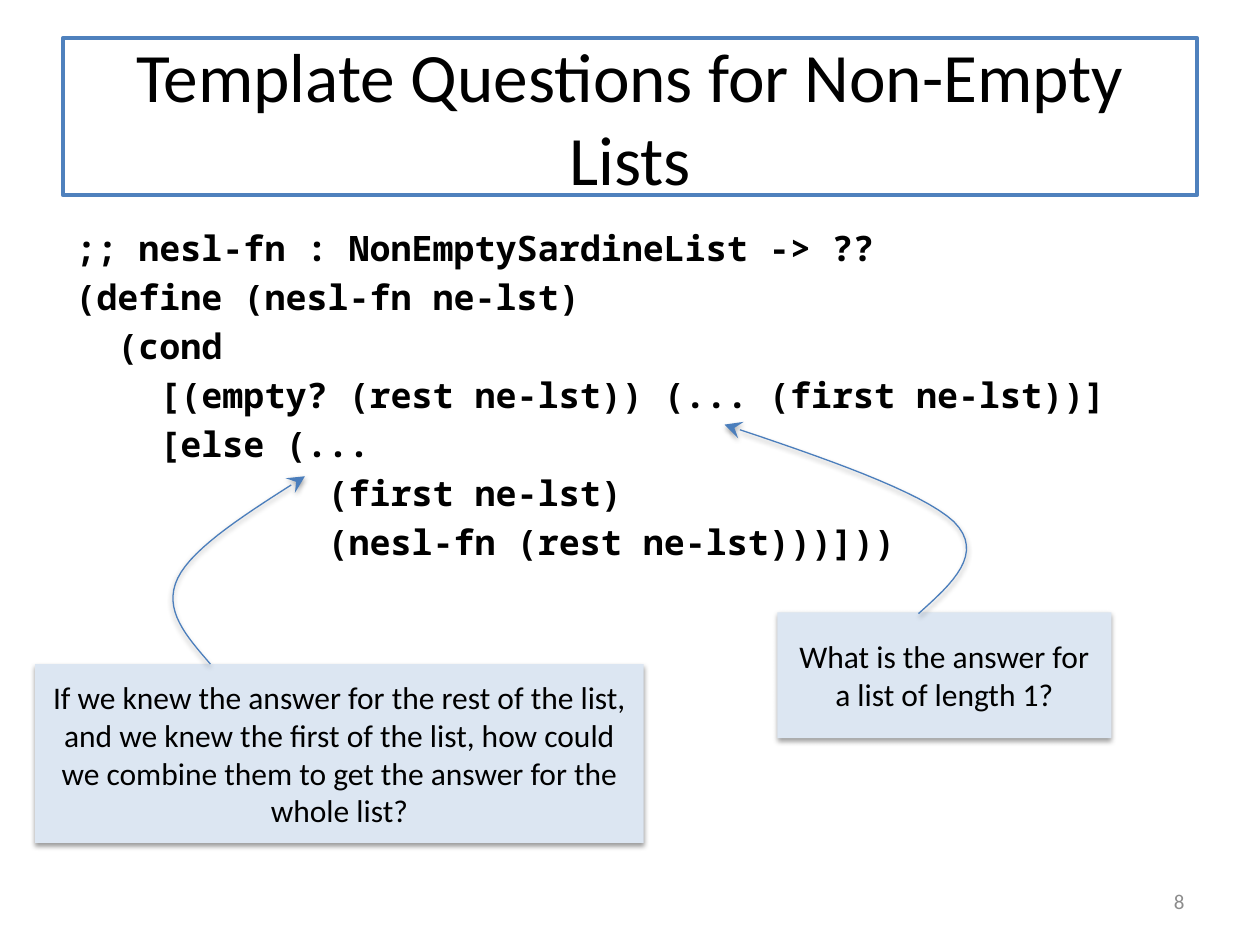
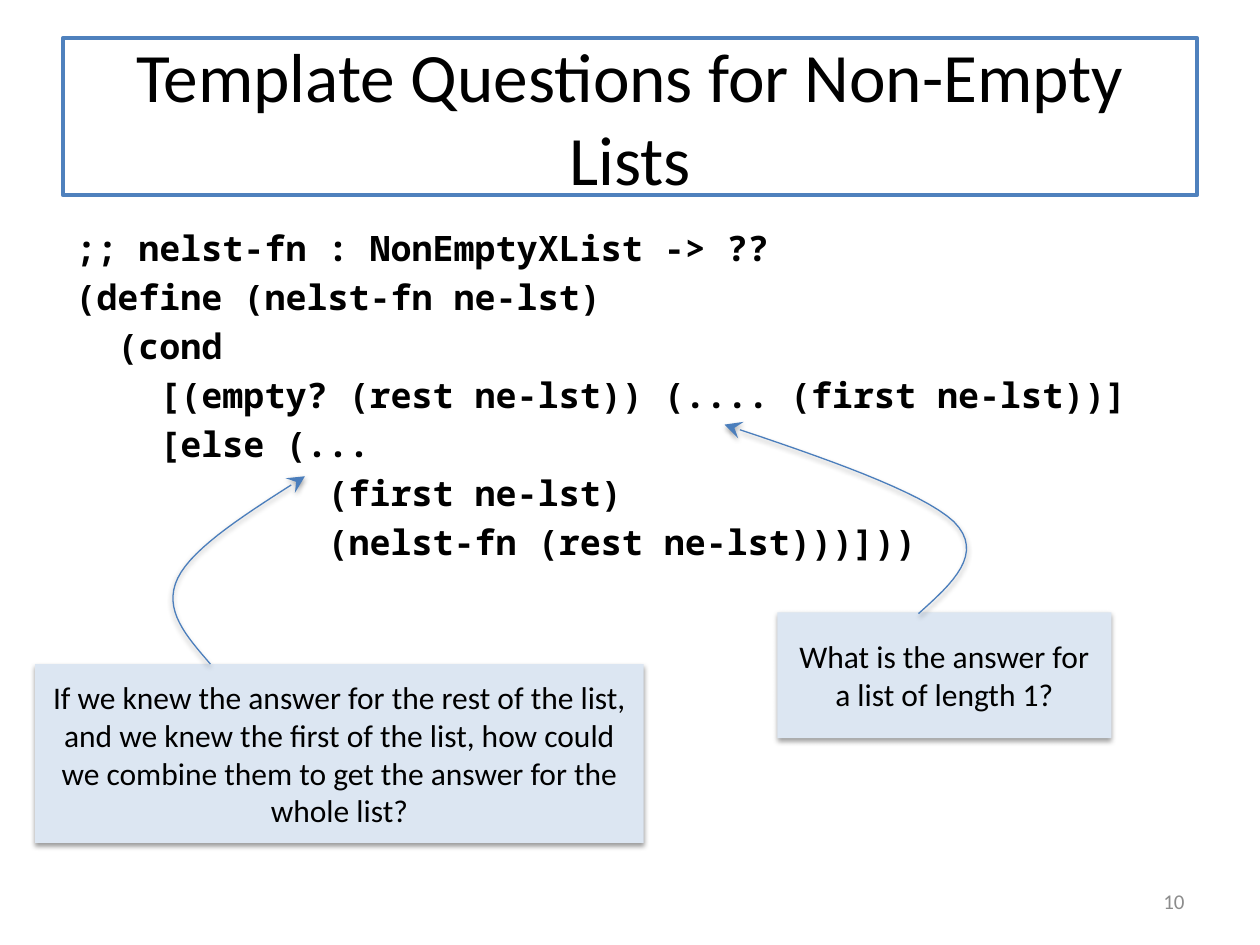
from lxml import etree
from pptx import Presentation
from pptx import util as u
from pptx.dml.color import RGBColor
from pptx.enum import shapes, text
from pptx.oxml import ns

TITLE = "Template Questions for Non-Empty Lists"
SLIDES = [
    ("8", "nesl-fn", "NonEmptySardineList", "..."),
    ("10", "nelst-fn", "NonEmptyXList", "...."),
]
CODE = [
    ";; {name} : {kind} -> ??",
    "(define ({name} ne-lst)",
    "  (cond",
    "    [(empty? (rest ne-lst)) ({dots} (first ne-lst))]",
    "    [else (...",
    "            (first ne-lst)",
    "            ({name} (rest ne-lst)))]))",
]
# Each note: words, box (left, top, width, height) in inches
NOTES = [
    ("What is the answer for a list of length 1?", (6.17, 4.86, 2.65, 1)),
    ("If we knew the answer for the rest of the list, and we knew the first "
     "of the list, how could we combine them to get the answer for the whole "
     "list?", (0.28, 5.27, 4.83, 1.42)),
]
# Each arrow: start, then two guides and an end for every bend
ARROWS = [
    [(7.29, 4.87), (7.56, 4.63), (7.82, 4.39), (7.57, 4.14),
     (7.31, 3.9), (6.53, 3.63), (5.75, 3.37)],
    [(1.67, 5.27), (1.48, 5.05), (1.29, 4.84), (1.41, 4.59),
     (1.53, 4.34), (1.98, 4.06), (2.42, 3.78)],
]

WIDE, HIGH = 10, 7.5
EDGE = 0.05 * WIDE
SPAN = WIDE - 2 * EDGE
TITLE_BOX = (EDGE, 0.04 * HIGH, SPAN, 1.25)
CODE_BOX = (EDGE, 1.75, SPAN, 4.95)
PAGE_BOX = (7.17, 6.95, WIDE - EDGE - 7.17, 0.4)
CODE_SIZE = 20
STEPS = 16

SANS, MONO = "Calibri", "Noto Sans Mono"
BLACK = RGBColor(0, 0, 0)
WHITE = RGBColor(255, 255, 255)
BLUE = RGBColor(0x4F, 0x81, 0xBD)
PEN = RGBColor(0x4B, 0x7E, 0xBC)
PALE = RGBColor(0xDC, 0xE6, 0xF2)
GREY = RGBColor(0x8C, 0x8C, 0x8C)
ALIGN, ANCHOR = text.PP_ALIGN, text.MSO_ANCHOR


def inches(box):
    return [u.Inches(v) for v in box]


def write(shape, lines, size, font=SANS, color=BLACK, bold=False,
          align=ALIGN.CENTER, anchor=ANCHOR.MIDDLE, gap=0):
    frame = shape.text_frame
    frame.text = "\n".join(lines)
    frame.word_wrap = True
    frame.auto_size = text.MSO_AUTO_SIZE.NONE
    frame.vertical_anchor = anchor
    for i, para in enumerate(frame.paragraphs):
        para.alignment = align
        para.space_before = u.Pt(gap if i else 0)
        for run in para.runs:
            run.font.name, run.font.size = font, u.Pt(size)
            run.font.bold, run.font.color.rgb = bold, color


def shade(shape):
    """Give the shape a soft shadow straight below it."""
    shape.shadow.inherit = False
    effects = shape._element.spPr.find(ns.qn("a:effectLst"))
    drop = etree.SubElement(
        effects, ns.qn("a:outerShdw"), blurRad=str(u.Pt(3.1)),
        dist=str(u.Pt(1.6)), dir="5400000", rotWithShape="0")
    tint = etree.SubElement(drop, ns.qn("a:srgbClr"), val="000000")
    etree.SubElement(tint, ns.qn("a:alpha"), val="38000")


def curve(knots):
    """Return points along a chain of cubic Bezier bends."""
    points = [knots[0]]
    for i in range(0, len(knots) - 1, 3):
        for n in range(1, STEPS + 1):
            t = n / STEPS
            parts = ((1 - t) ** 3, 3 * t * (1 - t) ** 2,
                     3 * t ** 2 * (1 - t), t ** 3)
            points.append(tuple(
                sum(w * knot[axis] for w, knot in zip(parts, knots[i:i + 4]))
                for axis in (0, 1)))
    return points


def add_note(slide, words, box):
    note = slide.shapes.add_shape(shapes.MSO_SHAPE.RECTANGLE, *inches(box))
    note.fill.solid()
    note.fill.fore_color.rgb = PALE
    note.line.fill.background()
    shade(note)
    write(note, [words], 18)


def add_arrow(slide, knots):
    first, *rest = [inches(point) for point in curve(knots)]
    pen = slide.shapes.build_freeform(*first)
    pen.add_line_segments(rest, close=False)
    arrow = pen.convert_to_shape()
    arrow.fill.background()
    arrow.line.color.rgb, arrow.line.width = PEN, u.Pt(0.75)
    etree.SubElement(arrow.line._get_or_add_ln(), ns.qn("a:tailEnd"),
                     type="stealth", w="lg", len="lg")
    shade(arrow)


def add_title(slide):
    title = slide.shapes.title
    title.left, title.top, title.width, title.height = inches(TITLE_BOX)
    title.fill.solid()
    title.fill.fore_color.rgb = WHITE
    title.line.color.rgb, title.line.width = BLUE, u.Pt(2.25)
    write(title, [TITLE], 39.6)


def add_slide(deck, page, name, kind, dots):
    slide = deck.slides.add_slide(deck.slide_layouts.get_by_name("Title Only"))
    add_title(slide)
    code = [line.format(name=name, kind=kind, dots=dots) for line in CODE]
    write(slide.shapes.add_textbox(*inches(CODE_BOX)), code, CODE_SIZE, MONO,
          bold=True, align=ALIGN.LEFT, anchor=ANCHOR.TOP, gap=0.2 * CODE_SIZE)
    write(slide.shapes.add_textbox(*inches(PAGE_BOX)), [page], 12,
          color=GREY, align=ALIGN.RIGHT)
    for words, box in NOTES:
        add_note(slide, words, box)
    for knots in ARROWS:
        add_arrow(slide, knots)


def main():
    deck = Presentation()
    deck.slide_width, deck.slide_height = inches((WIDE, HIGH))
    for row in SLIDES:
        add_slide(deck, *row)
    deck.save("out.pptx")


if __name__ == "__main__":
    main()
